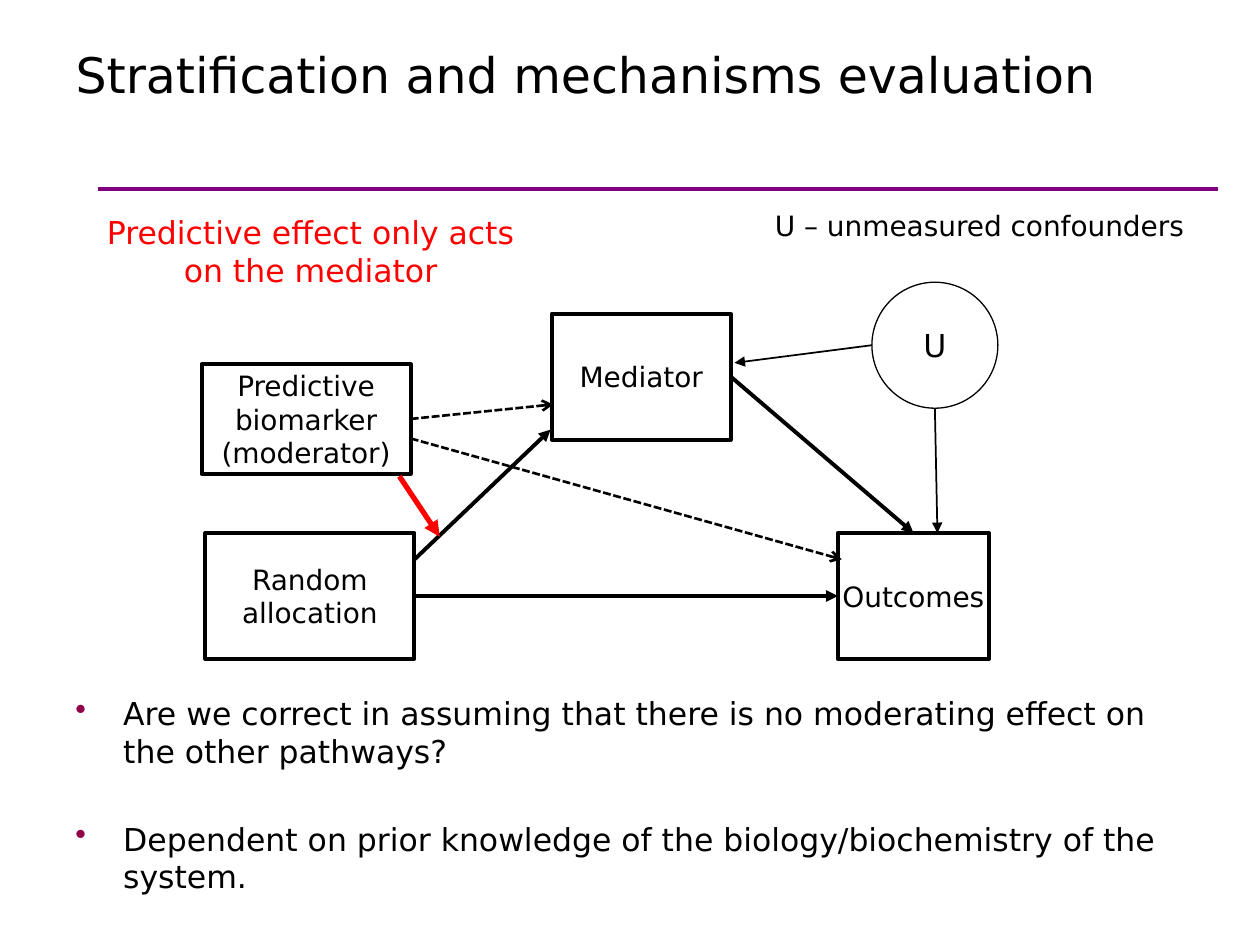
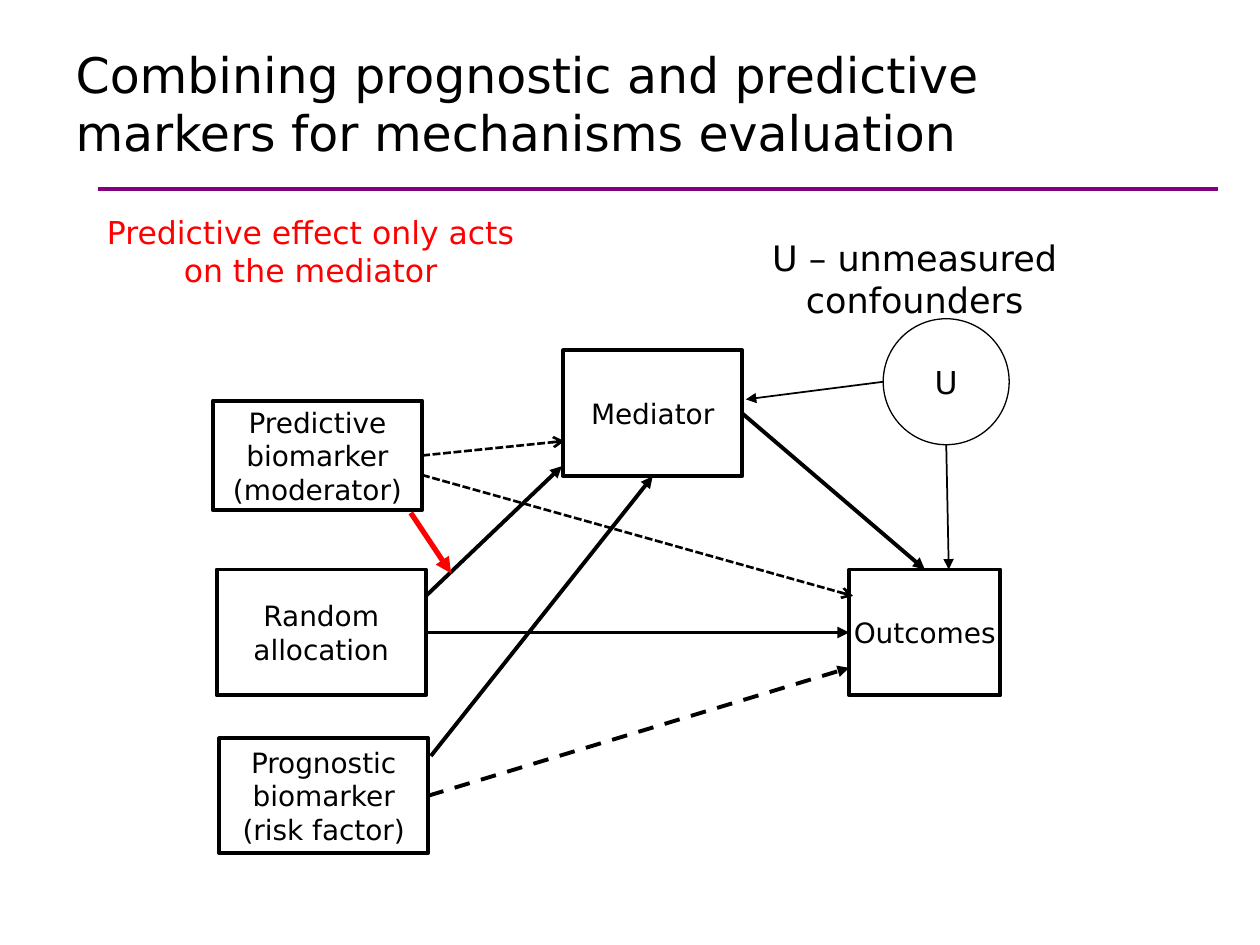
from collections import namedtuple

from lxml import etree
from pptx import Presentation
from pptx.dml.color import RGBColor
from pptx.enum import dml, shapes, text
from pptx.oxml.ns import qn
from pptx.util import Inches, Pt

FONT = "DejaVu Sans"
BLACK, RED, PURPLE, BULLET = "000000", "FF0000", "800080", "920049"
TOP, LEFT, BOTTOM, RIGHT = range(4)
DOTTED, DASHED = dml.MSO_LINE.SQUARE_DOT, dml.MSO_LINE.DASH

Box = namedtuple("Box", "left top width height")
Side = namedtuple("Side", "node index")
Point = namedtuple("Point", "x y")


def colour(hex_value):
    return RGBColor.from_string(hex_value)


def inches(lengths):
    return [Inches(length) for length in lengths]


def write(frame, paragraphs, size, hex_value=BLACK, align=text.PP_ALIGN.CENTER):
    for index, content in enumerate(paragraphs):
        paragraph = frame.paragraphs[0] if index == 0 else frame.add_paragraph()
        paragraph.alignment = align
        for number, piece in enumerate(content.split("\n")):
            if number:
                paragraph.add_line_break()
            run = paragraph.add_run()
            run.text = piece
            run.font.name = FONT
            run.font.size = Pt(size)
            run.font.color.rgb = colour(hex_value)


def add_line(slide, start, finish, width, hex_value=BLACK, dash=None, head=None):
    begin, end = (Point(0, 0) if isinstance(stop, Side) else stop
                  for stop in (start, finish))
    line = slide.shapes.add_connector(
        shapes.MSO_CONNECTOR.STRAIGHT, *inches([*begin, *end]))
    if isinstance(start, Side):
        line.begin_connect(*start)
    if isinstance(finish, Side):
        line.end_connect(*finish)
    line.line.width = Pt(width)
    line.line.color.rgb = colour(hex_value)
    if dash:
        line.line.dash_style = dash
    properties = line.element.spPr
    if head:
        etree.SubElement(properties.find(qn("a:ln")), qn("a:tailEnd"), type=head)
    etree.SubElement(properties, qn("a:effectLst"))


def add_node(slide, box, paragraphs, size=16, width=2.25,
             preset=shapes.MSO_SHAPE.RECTANGLE):
    node = slide.shapes.add_shape(preset, *inches(box))
    node.shadow.inherit = False
    node.fill.background()
    node.line.color.rgb = colour(BLACK)
    node.line.width = Pt(width)
    node.text_frame.word_wrap = False
    node.text_frame.vertical_anchor = text.MSO_ANCHOR.MIDDLE
    write(node.text_frame, paragraphs, size)
    return node


def add_label(slide, box, content, size, hex_value=BLACK):
    frame = slide.shapes.add_textbox(*inches(box)).text_frame
    frame.word_wrap = True
    write(frame, [content], size, hex_value)


def add_titled_slide(deck, heading):
    slide = deck.slides.add_slide(deck.slide_layouts[5])
    title = slide.shapes.title
    title.left, title.top, title.width, title.height = inches((0.5, 0.3, 9, 1.25))
    title.text_frame.vertical_anchor = text.MSO_ANCHOR.TOP
    title.text_frame.auto_size = text.MSO_AUTO_SIZE.NONE
    write(title.text_frame, [heading], 28, align=text.PP_ALIGN.LEFT)
    add_line(slide, Point(0.78, 1.5), Point(9.67, 1.5), 1.75, PURPLE)
    add_label(slide, Box(0.69, 1.64, 3.55, 0.71),
              "Predictive effect only acts\non the mediator", 18, RED)
    return slide


def add_pathways(slide, left, top, with_prognostic=False):
    def place(x, y, width, height):
        return Box(left + x, top + y, width, height)

    def at(x, y):
        return Point(left + x, top + y)

    random = add_node(slide, place(0.03, 1.99, 1.66, 1), ["Random", "allocation"])
    mediator = add_node(slide, place(2.78, 0.25, 1.42, 1), ["Mediator"])
    outcomes = add_node(slide, place(5.05, 1.99, 1.2, 1), ["Outcomes"])
    predictive = add_node(slide, place(0, 0.65, 1.66, 0.87),
                          ["Predictive", "biomarker", "(moderator)"])
    add_node(slide, place(5.32, 0, 1, 1), ["U"], 18, 0.75, shapes.MSO_SHAPE.OVAL)

    arrows = [
        (Side(random, RIGHT), Side(outcomes, LEFT), 2.25),
        (at(1.69, 2.2), at(2.77, 1.17), 2.25),
        (Side(mediator, RIGHT), Side(outcomes, TOP), 2.25),
        (at(5.32, 0.5), at(4.23, 0.64), 1),
        (at(5.82, 1), at(5.84, 1.99), 1),
        (at(1.57, 1.54), at(1.89, 2.02), 3, RED),
    ]
    if with_prognostic:
        prognostic = add_node(slide, place(0.05, 3.33, 1.66, 0.91),
                              ["Prognostic\nbiomarker\n(risk factor)"])
        arrows += [
            (at(1.73, 3.47), Side(mediator, BOTTOM), 2.25),
            (Side(prognostic, RIGHT), at(5.05, 2.77), 2.25, BLACK, DASHED),
        ]
    for arrow in arrows:
        add_line(slide, *arrow, head="triangle")
    for start, finish in [(Side(predictive, RIGHT), at(2.79, 0.97)),
                          (at(1.66, 1.24), at(5.08, 2.2))]:
        add_line(slide, start, finish, 1.5, dash=DOTTED, head="arrow")


def add_questions(slide, box, questions):
    frame = slide.shapes.add_textbox(*inches(box)).text_frame
    frame.word_wrap = True
    write(frame, questions, 18, align=text.PP_ALIGN.LEFT)
    for index, paragraph in enumerate(frame.paragraphs):
        properties = paragraph._p.get_or_add_pPr()
        properties.set("marL", str(Inches(0.38)))
        properties.set("indent", str(Inches(-0.38)))
        bullet_colour = etree.SubElement(properties, qn("a:buClr"))
        etree.SubElement(bullet_colour, qn("a:srgbClr"), val=BULLET)
        etree.SubElement(properties, qn("a:buChar"), char="•")
        if index:
            paragraph.space_before = Pt(28.5)


def build_stratification(deck):
    slide = add_titled_slide(deck, "Stratification and mechanisms evaluation")
    add_pathways(slide, 1.6, 2.24)
    add_label(slide, Box(6.01, 1.61, 3.53, 0.37), "U – unmeasured confounders", 16)
    add_questions(slide, Box(0.5, 5.46, 9, 1.86), [
        "Are we correct in assuming that there is no moderating effect on "
        "the other pathways?",
        "Dependent on prior knowledge of the biology/biochemistry of the system.",
    ])


def build_combination(deck):
    slide = add_titled_slide(
        deck, "Combining prognostic and predictive markers for mechanisms evaluation")
    add_pathways(slide, 1.69, 2.53, with_prognostic=True)
    add_label(slide, Box(6.03, 1.83, 2.46, 0.75), "U – unmeasured confounders", 20)


def main():
    deck = Presentation()
    deck.slide_width, deck.slide_height = inches((10, 7.5))
    build_stratification(deck)
    build_combination(deck)
    deck.save("out.pptx")


if __name__ == "__main__":
    main()
